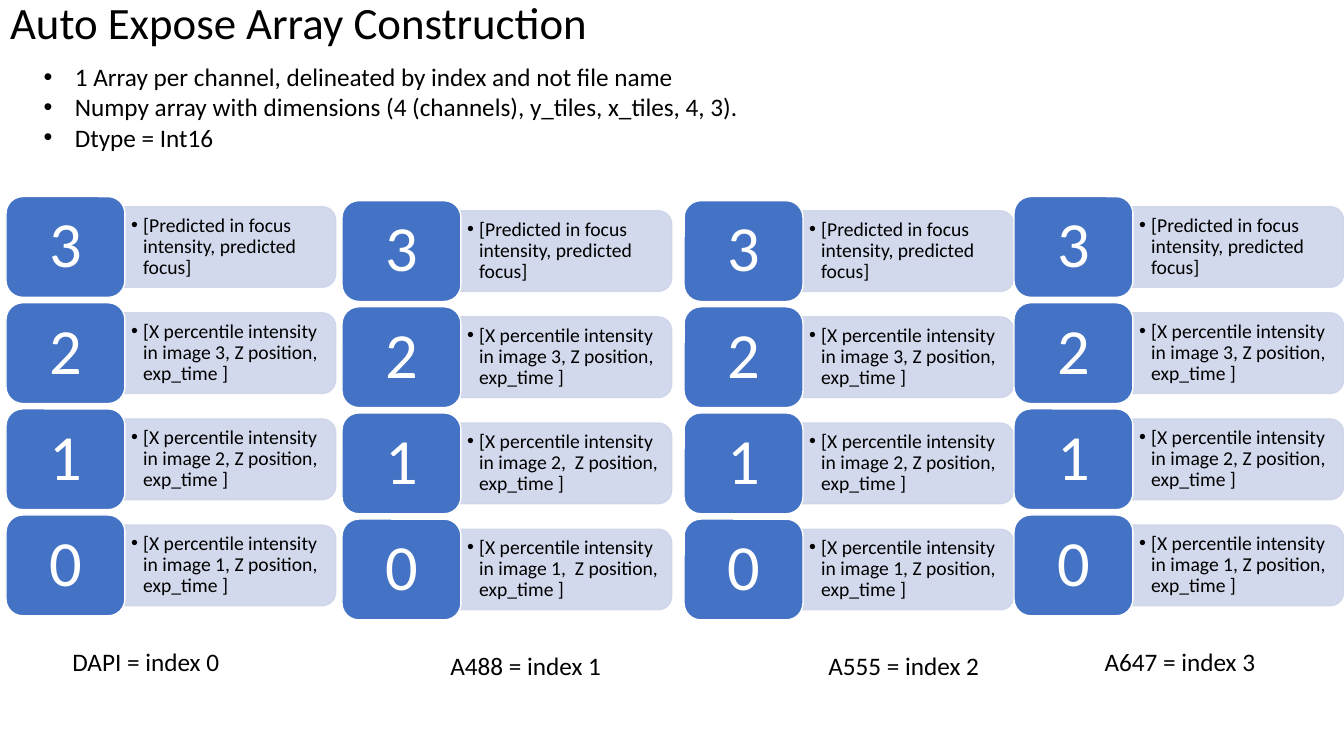
from dataclasses import dataclass

from lxml.etree import SubElement
from pptx import Presentation
from pptx.dml.color import RGBColor
from pptx.enum.shapes import MSO_SHAPE as Preset
from pptx.enum.text import MSO_ANCHOR as Anchor, MSO_AUTO_SIZE as AutoSize, PP_ALIGN as Align
from pptx.oxml.ns import qn
from pptx.util import Inches, Pt

COLUMNS, ROWS = 40, 50
TILE_WIDTH, TILE_HEIGHT, TILE_PITCH = 3.54, 6.67, 7.02
CHANNELS = [
    ("DAPI = index 0", 0.18, 13, 1.86, " "),
    ("A488 = index 1", 10.18, 13.27, 13.11, "  "),
    ("A555 = index 2", 20.36, 13.27, 24.36, " "),
    ("A647 = index 3", 30.18, 13, 32.58, " "),
]
NOTES = [
    "1 Array per channel, delineated by index and not file name",
    "Numpy array with dimensions (4 (channels), y_tiles, x_tiles, 4, 3).",
    "Dtype = Int16",
]


def color(value):
    return RGBColor.from_string(value)


@dataclass
class ArraySlide:
    presentation: object
    slide: object
    font: str = "Calibri"
    ink: str = "000000"
    paper: str = "FFFFFF"
    accent: str = "4472C4"
    tint: str = "CFD5EA"

    def place(self, left, top, width, height):
        across = self.presentation.slide_width / COLUMNS
        down = self.presentation.slide_height / ROWS
        return [round(n) for n in (left * across, top * down, width * across, height * down)]

    def move(self, shape, *cells):
        shape.left, shape.top, shape.width, shape.height = self.place(*cells)

    def frame(self, shape, anchor, margins=(0.1, 0.05), wrap=True):
        frame = shape.text_frame
        frame.auto_size = AutoSize.NONE
        frame.word_wrap = wrap
        frame.vertical_anchor = anchor
        frame.margin_left = frame.margin_right = Inches(margins[0])
        frame.margin_top = frame.margin_bottom = Inches(margins[1])
        return frame

    def format(self, paragraph, size, ink=None, align=Align.LEFT, spacing=1.0, indent=None):
        paragraph.alignment = align
        paragraph.line_spacing = spacing
        paragraph.space_before = Pt(0)
        if indent:
            properties = paragraph._p.get_or_add_pPr()
            properties.set("marL", str(Inches(indent)))
            properties.set("indent", str(-Inches(indent)))
            SubElement(properties, qn("a:buFont")).set("typeface", "Arial")
            SubElement(properties, qn("a:buChar")).set("char", "•")
        paragraph.font.name = self.font
        paragraph.font.size = Pt(size)
        paragraph.font.color.rgb = color(ink or self.ink)

    def title(self, text, *cells):
        shape = self.slide.shapes.title
        self.move(shape, *cells)
        frame = self.frame(shape, Anchor.MIDDLE)
        frame.text = text
        self.format(frame.paragraphs[0], 32, spacing=0.9)

    def bullets(self, lines, *cells):
        shape = self.slide.placeholders[1]
        self.move(shape, *cells)
        frame = self.frame(shape, Anchor.TOP)
        frame.text = "\n".join(lines)
        for paragraph in frame.paragraphs:
            self.format(paragraph, 18, indent=0.31)

    def preset(self, kind, fill, line, *cells):
        shape = self.slide.shapes.add_shape(kind, *self.place(*cells))
        shape.shadow.inherit = False
        shape.fill.solid()
        shape.fill.fore_color.rgb = color(fill)
        shape.line.color.rgb = color(line)
        shape.line.width = Pt(1)
        return shape

    def bar(self, *cells):
        shape = self.preset(Preset.ROUND_2_SAME_RECTANGLE, self.tint, self.tint, *cells)
        left, top, width, height = self.place(*cells)
        shape.left = left + (width - height) // 2
        shape.top = top + (height - width) // 2
        shape.width, shape.height = height, width
        shape.rotation = 90
        for tone in shape._element.spPr.iter(qn("a:srgbClr")):
            SubElement(tone, qn("a:alpha")).set("val", "90000")

    def text(self, text, *cells, size=18, wrap=True, anchor=Anchor.TOP, margins=(0.1, 0.05), **style):
        shape = self.slide.shapes.add_textbox(*self.place(*cells))
        frame = self.frame(shape, anchor, margins, wrap)
        frame.text = text
        self.format(frame.paragraphs[0], size, **style)

    def tile(self, number, *cells):
        shape = self.preset(Preset.ROUNDED_RECTANGLE, self.accent, self.paper, *cells)
        frame = self.frame(shape, Anchor.MIDDLE, (0.2, 0.1))
        frame.text = str(number)
        self.format(frame.paragraphs[0], 46, self.paper, Align.CENTER, 0.9)

    def entry(self, number, text, left, top):
        self.bar(left + 3.51, top + 0.67, 6.3, 5.33)
        self.text(text, left + TILE_WIDTH, top + 0.93, 6.18, 4.8, size=14,
                  anchor=Anchor.MIDDLE, margins=(0.06, 0.03), spacing=0.9, indent=0.12)
        self.tile(number, left, top, TILE_WIDTH, TILE_HEIGHT)

    def channel(self, label, left, top, label_left, gap):
        for step, number in enumerate((3, 2, 1, 0)):
            space = gap if number < 2 else " "
            text = f"[X percentile intensity in image {number + 1},{space}Z position, exp_time ]"
            if number == 3:
                text = "[Predicted in focus intensity, predicted focus]"
            self.entry(number, text, left, top + step * TILE_PITCH)
        self.text(label, label_left, top + 29.4, 5.13, 2.67, wrap=False)


def main():
    presentation = Presentation()
    presentation.slide_width, presentation.slide_height = Inches(13.33), Inches(7.5)
    slide = presentation.slides.add_slide(presentation.slide_layouts[1])
    page = ArraySlide(presentation, slide)
    page.title("Auto Expose Array Construction", 0, -1.07, 34.5, 5.47)
    page.bullets(NOTES, 1, 3.73, 38.76, 6.73)
    for channel in CHANNELS:
        page.channel(*channel)
    presentation.save("out.pptx")


if __name__ == "__main__":
    main()
